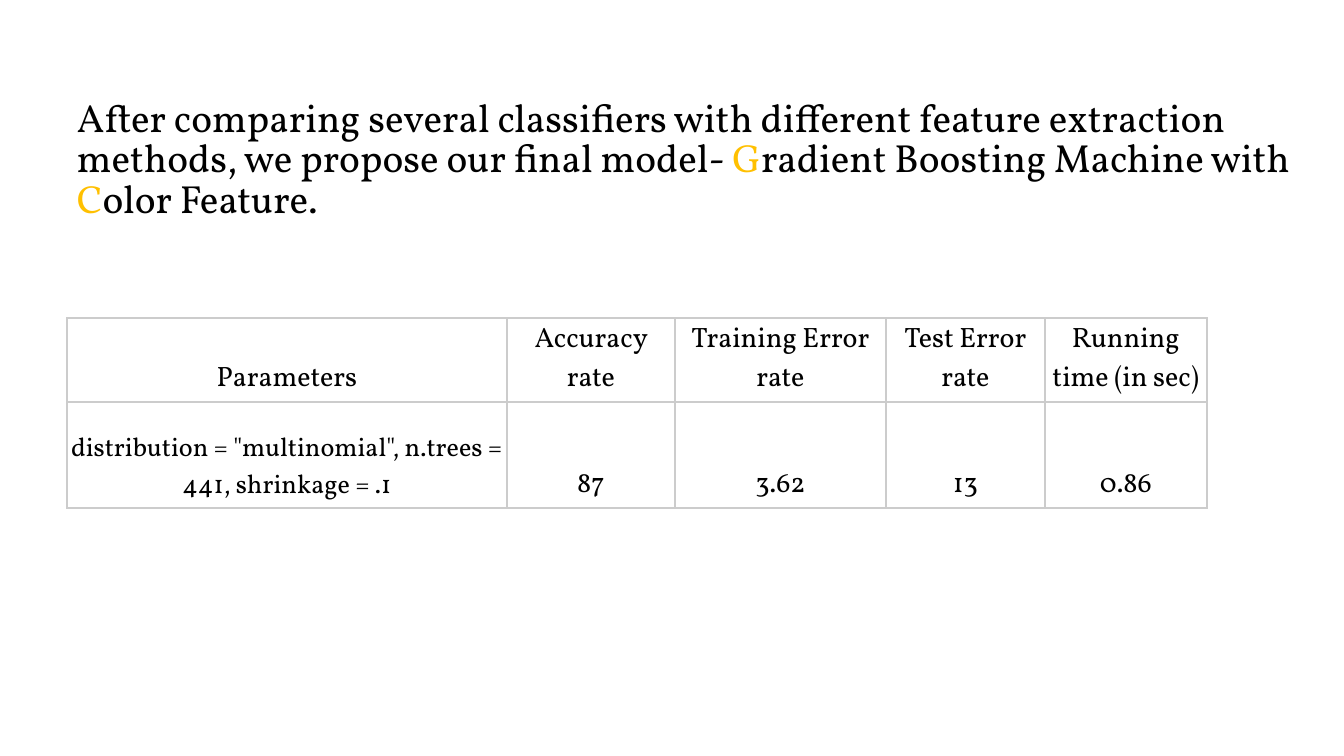
from lxml import etree
from pptx import Presentation
from pptx import util as u
from pptx.dml.color import RGBColor
from pptx.enum import text
from pptx.oxml import ns

SCALE = 914400 / 134.4
FONT = "Vollkorn"
BLACK = RGBColor(0x00, 0x00, 0x00)
GOLD = RGBColor(0xFF, 0xC0, 0x00)
BORDER = RGBColor(0xCC, 0xCC, 0xCC)

TITLE_RUNS = [
    ("After comparing several classifiers with different feature extraction "
     "methods, we propose our final model- ", BLACK),
    ("G", GOLD),
    ("radient Boosting Machine with ", BLACK),
    ("C", GOLD),
    ("olor Feature.", BLACK),
]
COLUMN_WIDTHS = [440, 168, 211, 159, 162]
ROW_HEIGHTS = [84, 106]
RESULTS = [
    ["Parameters", "Accuracy rate", "Training Error rate", "Test Error rate",
     "Running time (in sec)"],
    ['distribution = "multinomial", n.trees = 441, shrinkage = .1',
     "87", "3.62", "13", "0.86"],
]


def px(length):
    return u.Emu(round(length * SCALE))


def add_run(paragraph, words, size, color):
    run = paragraph.add_run()
    run.text = words
    run.font.name = FONT
    run.font.size = u.Pt(size)
    run.font.color.rgb = color


def set_margins(holder, side, end):
    holder.margin_left = holder.margin_right = px(side)
    holder.margin_top = holder.margin_bottom = px(end)


def set_borders(cell):
    properties = cell._tc.get_or_add_tcPr()
    for position, side in enumerate(("lnL", "lnR", "lnT", "lnB")):
        line = etree.Element(ns.qn("a:" + side), w=str(u.Pt(1)))
        fill = etree.SubElement(line, ns.qn("a:solidFill"))
        etree.SubElement(fill, ns.qn("a:srgbClr"), val=str(BORDER))
        properties.insert(position, line)


def place_title(slide, left, top, width, height):
    title = slide.shapes.title
    title.left, title.top = px(left), px(top)
    title.width, title.height = px(width), px(height)
    frame = title.text_frame
    frame.word_wrap = True
    frame.auto_size = text.MSO_AUTO_SIZE.NONE
    frame.vertical_anchor = text.MSO_ANCHOR.MIDDLE
    set_margins(frame, 10, 5)
    paragraph = frame.paragraphs[0]
    paragraph.alignment = text.PP_ALIGN.LEFT
    paragraph.line_spacing = 0.86
    for words, color in TITLE_RUNS:
        add_run(paragraph, words, 21, color)


def place_results(slide, left, top):
    table = slide.shapes.add_table(
        len(RESULTS), len(COLUMN_WIDTHS), px(left), px(top),
        px(sum(COLUMN_WIDTHS)), px(sum(ROW_HEIGHTS))).table
    table.first_row = table.horz_banding = False
    for column, width in zip(table.columns, COLUMN_WIDTHS):
        column.width = px(width)
    for row, height, values in zip(table.rows, ROW_HEIGHTS, RESULTS):
        row.height = px(height)
        for cell, value in zip(row.cells, values):
            cell.fill.background()
            cell.vertical_anchor = text.MSO_ANCHOR.BOTTOM
            set_margins(cell, 4, 3)
            set_borders(cell)
            paragraph = cell.text_frame.paragraphs[0]
            paragraph.alignment = text.PP_ALIGN.CENTER
            size = 14 if value.startswith("distribution") else 15
            add_run(paragraph, value, size, BLACK)


def build_results_slide(presentation):
    slide = presentation.slides.add_slide(presentation.slide_layouts[5])
    place_title(slide, 67, 73, 1243, 175)
    place_results(slide, 67, 318)


presentation = Presentation()
presentation.slide_width, presentation.slide_height = px(1344), px(756)
build_results_slide(presentation)
presentation.save("out.pptx")
